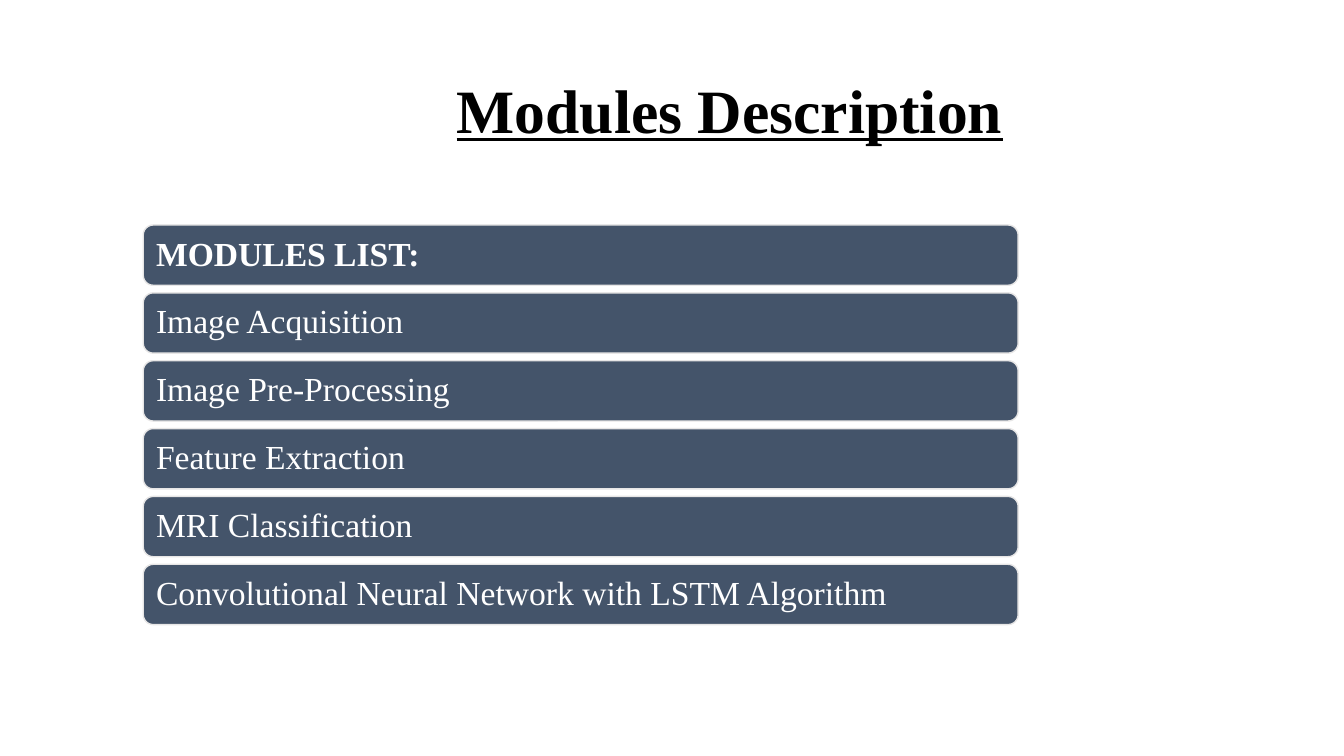
"""Build the Modules Description slide."""
from pptx import Presentation
from pptx.dml.color import RGBColor
from pptx.enum.shapes import MSO_SHAPE
from pptx.enum.text import MSO_ANCHOR, PP_ALIGN
from pptx.util import Cm, Pt

TITLE = "Modules Description"
MODULES = [
    "MODULES LIST:",
    "Image Acquisition",
    "Image Pre-Processing",
    "Feature Extraction",
    "MRI Classification",
    "Convolutional Neural Network with LSTM Algorithm",
]

BLACK = RGBColor(0, 0, 0)
WHITE = RGBColor(255, 255, 255)
SLATE = RGBColor(0x44, 0x54, 0x6A)
PALE = RGBColor(0xE7, 0xE6, 0xE6)

FACE = "Times New Roman"
HEAD = {"name": FACE, "size": Pt(44), "bold": True, "underline": True}
ITEM = {"name": FACE, "size": Pt(24), "bold": False}
LEAD = {**ITEM, "bold": True}
TITLE_BOX = {"word_wrap": True, "vertical_anchor": MSO_ANCHOR.MIDDLE,
             "margin_left": Cm(9.18)}
BAR_BOX = {"word_wrap": True, "vertical_anchor": MSO_ANCHOR.MIDDLE,
           "margin_left": Cm(0.25), "margin_right": Cm(0.25),
           "margin_top": Cm(0.25), "margin_bottom": Cm(0.25)}
PARA = {"alignment": PP_ALIGN.LEFT, "line_spacing": 0.9}

LEFT, TOP, WIDTH, HEIGHT, PITCH = 3.61, 5.67, 22.05, 1.52, 1.71


def apply(target, values):
    """Set each named attribute on the target."""
    for name, value in values.items():
        setattr(target, name, value)


def write(shape, text, box, font, color):
    """Put one formatted line of text in a shape."""
    frame = shape.text_frame
    apply(frame, box)
    para = frame.paragraphs[0]
    apply(para, PARA)
    run = para.add_run()
    run.text = text
    apply(run.font, font)
    run.font.color.rgb = color


def add_bar(slide, row, text):
    """Draw one module bar."""
    bar = slide.shapes.add_shape(
        MSO_SHAPE.ROUNDED_RECTANGLE,
        Cm(LEFT), Cm(TOP + row * PITCH), Cm(WIDTH), Cm(HEIGHT))
    bar.shadow.inherit = False
    bar.fill.solid()
    bar.fill.fore_color.rgb = SLATE
    bar.line.color.rgb = PALE
    bar.line.width = Pt(1)
    write(bar, text, BAR_BOX, ITEM if row else LEAD, WHITE)


def main():
    """Build and save the deck."""
    deck = Presentation()
    apply(deck, {"slide_width": Cm(33.87), "slide_height": Cm(19.05)})
    slide = deck.slides.add_slide(deck.slide_layouts[6])
    title = slide.shapes.add_textbox(Cm(2.33), Cm(1.01), Cm(29.21), Cm(3.68))
    write(title, TITLE, TITLE_BOX, HEAD, BLACK)
    for row, text in enumerate(MODULES):
        add_bar(slide, row, text)
    deck.save("out.pptx")


if __name__ == "__main__":
    main()
